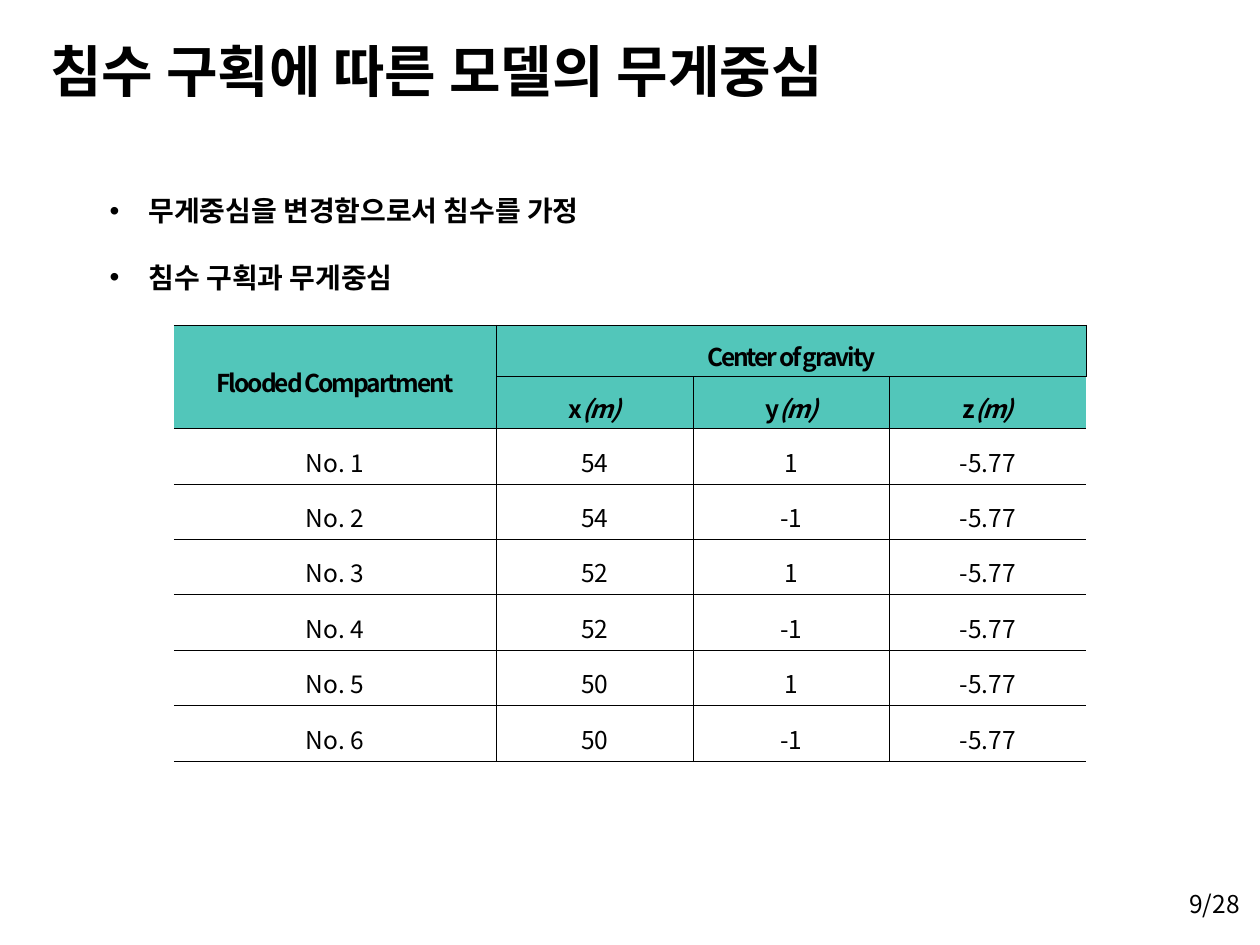
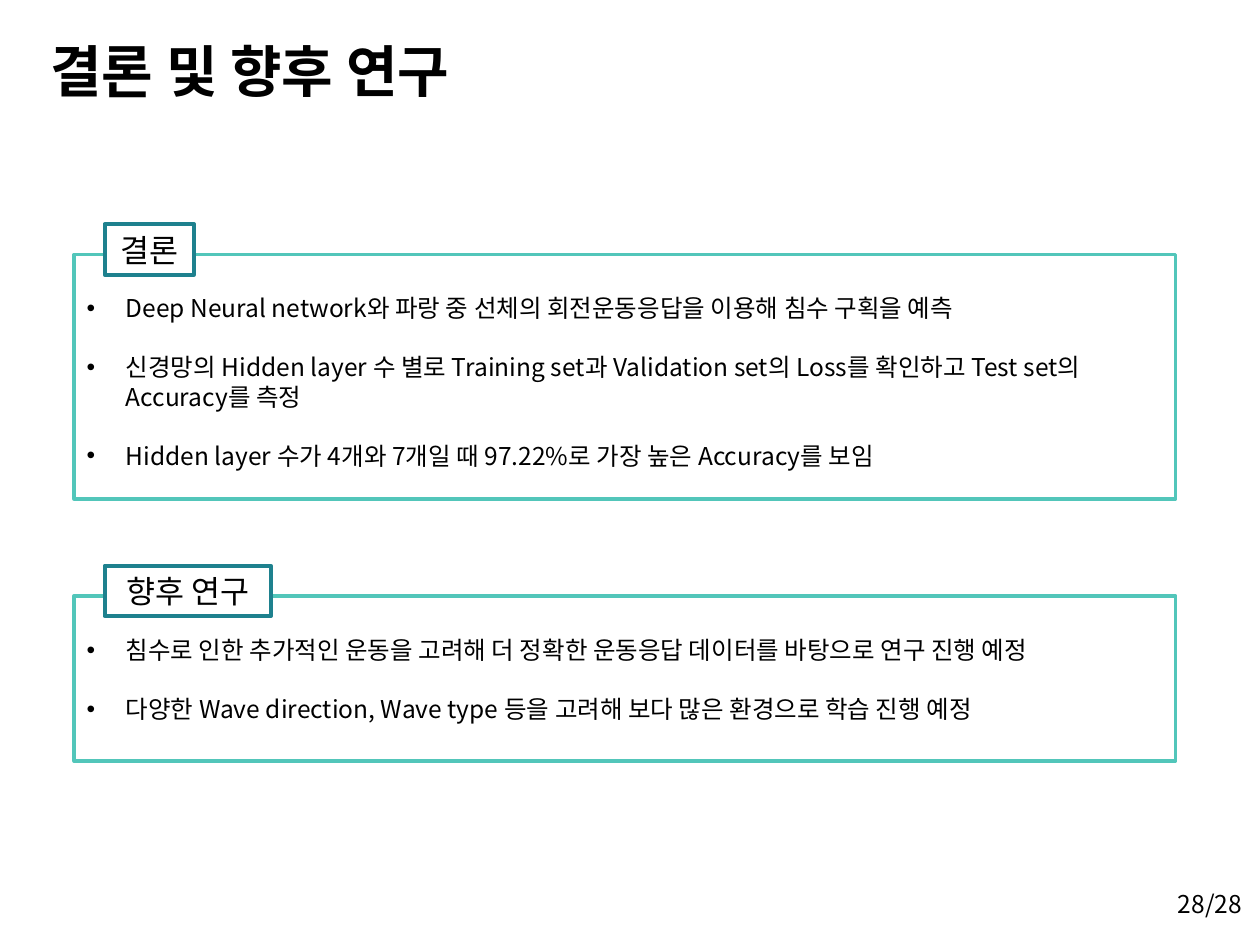
import pptx
import pptx.dml.color
import pptx.enum.shapes
import pptx.enum.text
import pptx.oxml.ns
import pptx.util
from lxml import etree

Inches, Pt = pptx.util.Inches, pptx.util.Pt
ALIGN = pptx.enum.text.PP_ALIGN
ANCHOR = pptx.enum.text.MSO_ANCHOR
RECT = pptx.enum.shapes.MSO_SHAPE.RECTANGLE
qn = pptx.oxml.ns.qn

BLACK, WHITE, MINT, TEAL = "000000", "FFFFFF", "52C6BA", "1E818E"
HEAD_FONT, TEXT_FONT = "Arial", "Noto Sans CJK KR"


def rgb(value):
    return pptx.dml.color.RGBColor.from_string(value)


def style(p, size, font=TEXT_FONT, bold=False, align=ALIGN.LEFT, indent=None):
    p.alignment = align
    p.font.size = Pt(size)
    p.font.name = font
    p.font.bold = bold
    p.font.color.rgb = rgb(BLACK)
    if indent is not None:
        p.line_spacing = Pt(round(size * 1.19, 1))
        p.space_before = Pt(0)
        p.space_after = Pt(round(size * 1.2))
        pPr = p._p.get_or_add_pPr()
        pPr.set("marL", str(Inches(indent)))
        pPr.set("indent", str(Inches(-0.31)))
        bullet = etree.Element(qn("a:buChar"), char="•")
        face = etree.Element(qn("a:buFont"), typeface="Arial")
        pPr.find(qn("a:defRPr")).addprevious(face)
        face.addnext(bullet)


prs = pptx.Presentation()
prs.slide_width, prs.slide_height = Inches(10), Inches(7.5)

pages = [
    (1, "침수 구획에 따른 모델의 무게중심", 7.62, "9/28", 9.34),
    (5, "결론 및 향후 연구", 6.86, "28/28", 9.25),
]
for layout, title, width, number, left in pages:
    s = prs.slides.add_slide(prs.slide_layouts[layout])
    sp = s.shapes.title
    sp.left, sp.top, sp.width, sp.height = Inches(0.3), Inches(0.05), Inches(width), Inches(1.01)
    tf = sp.text_frame
    tf.text = title
    tf.vertical_anchor = ANCHOR.MIDDLE
    tf.auto_size = pptx.enum.text.MSO_AUTO_SIZE.NONE
    style(tf.paragraphs[0], 32, HEAD_FONT, True)
    sp = s.shapes.add_textbox(Inches(left), Inches(7), Inches(10 - left), Inches(0.34))
    tf = sp.text_frame
    tf.text = number
    tf.word_wrap = False
    tf.vertical_anchor = ANCHOR.MIDDLE
    style(tf.paragraphs[0], 14)

gravity, conclusion = prs.slides

sp = gravity.placeholders[1]
sp.left, sp.top, sp.width, sp.height = Inches(0.27), Inches(1.23), Inches(8.98), Inches(1.18)
tf = sp.text_frame
tf.text = "무게중심을 변경함으로서 침수를 가정\n침수 구획과 무게중심"
tf.auto_size = pptx.enum.text.MSO_AUTO_SIZE.NONE
tf.vertical_anchor = ANCHOR.TOP
tf.margin_top = Inches(0.31)
for p in tf.paragraphs:
    style(p, 16, HEAD_FONT, True, indent=0.81)

rows = [["Flooded Compartment", "Center of gravity", "", ""], ["", "x", "y", "z"]]
for i, (x, y) in enumerate([(x, y) for x in (54, 52, 50) for y in (1, -1)], 1):
    rows.append([f"No. {i}", str(x), str(y), "-5.77"])

sp = gravity.shapes.add_table(8, 4, Inches(1.38), Inches(2.58), Inches(7.24), Inches(3.46))
table = sp.table
for column, width in zip(table.columns, (2.56, 1.56, 1.56, 1.56)):
    column.width = Inches(width)
for i, row in enumerate(table.rows):
    row.height = Inches(0.41 if i < 2 else 0.44)
table.cell(0, 0).merge(table.cell(1, 0))
table.cell(0, 1).merge(table.cell(0, 3))

for i, values in enumerate(rows):
    header = i < 2
    for j, value in enumerate(values):
        cell = table.cell(i, j)
        cell.margin_left = cell.margin_right = Inches(0.07)
        cell.margin_top = cell.margin_bottom = Inches(0.02)
        cell.vertical_anchor = ANCHOR.MIDDLE
        if header:
            cell.fill.solid()
            cell.fill.fore_color.rgb = rgb(MINT)
        else:
            cell.fill.background()
        p = cell.text_frame.paragraphs[0]
        style(p, 14, bold=header, align=ALIGN.CENTER)
        p.line_spacing = 1.3
        if value:
            p.add_run().text = value
        if i == 1 and j > 0:
            r = p.add_run()
            r.text = "(m)"
            r.font.italic = True
        if header:
            for r in p.runs:
                r._r.get_or_add_rPr().set("spc", "-120")
        tcPr = cell._tc.get_or_add_tcPr()
        for k, side in enumerate(("lnL", "lnR", "lnT", "lnB")):
            ln = etree.Element(qn(f"a:{side}"), w=str(Pt(0.28)))
            if (side, j) in (("lnL", 0), ("lnR", 3)):
                etree.SubElement(ln, qn("a:noFill"))
            else:
                fill = etree.SubElement(ln, qn("a:solidFill"))
                etree.SubElement(fill, qn("a:srgbClr"), val=BLACK)
            tcPr.insert(k, ln)

sections = [
    ("결론", 0.71, 2.02, 1.94, [
        "Deep Neural network와 파랑 중 선체의 회전운동응답을 이용해 침수 구획을 예측",
        "신경망의 Hidden layer 수 별로 Training set과 Validation set의 Loss를 확인하고 Test set의 Accuracy를 측정",
        "Hidden layer 수가 4개와 7개일 때 97.22%로 가장 높은 Accuracy를 보임",
    ]),
    ("향후 연구", 1.32, 4.73, 1.31, [
        "침수로 인한 추가적인 운동을 고려해 더 정확한 운동응답 데이터를 바탕으로 연구 진행 예정",
        "다양한 Wave direction, Wave type 등을 고려해 보다 많은 환경으로 학습 진행 예정",
    ]),
]
for label, label_width, top, height, items in sections:
    group = conclusion.shapes.add_group_shape()
    box = group.shapes.add_shape(RECT, Inches(0.59), Inches(top), Inches(8.74), Inches(height))
    tag = group.shapes.add_shape(RECT, Inches(0.83), Inches(top - 0.24), Inches(label_width), Inches(0.4))
    for sp, color in ((box, MINT), (tag, TEAL)):
        sp.shadow.inherit = False
        sp.line.color.rgb = rgb(color)
        sp.line.width = Pt(2.25)
    box.fill.background()
    tf = box.text_frame
    tf.text = "\n".join(items)
    tf.word_wrap = True
    tf.vertical_anchor = ANCHOR.TOP
    tf.margin_top = Inches(0.31)
    for p in tf.paragraphs:
        style(p, 14, indent=0.31)
    tag.fill.solid()
    tag.fill.fore_color.rgb = rgb(WHITE)
    tf = tag.text_frame
    tf.text = label
    tf.word_wrap = False
    tf.vertical_anchor = ANCHOR.MIDDLE
    style(tf.paragraphs[0], 18, align=ALIGN.CENTER)

prs.save("out.pptx")
